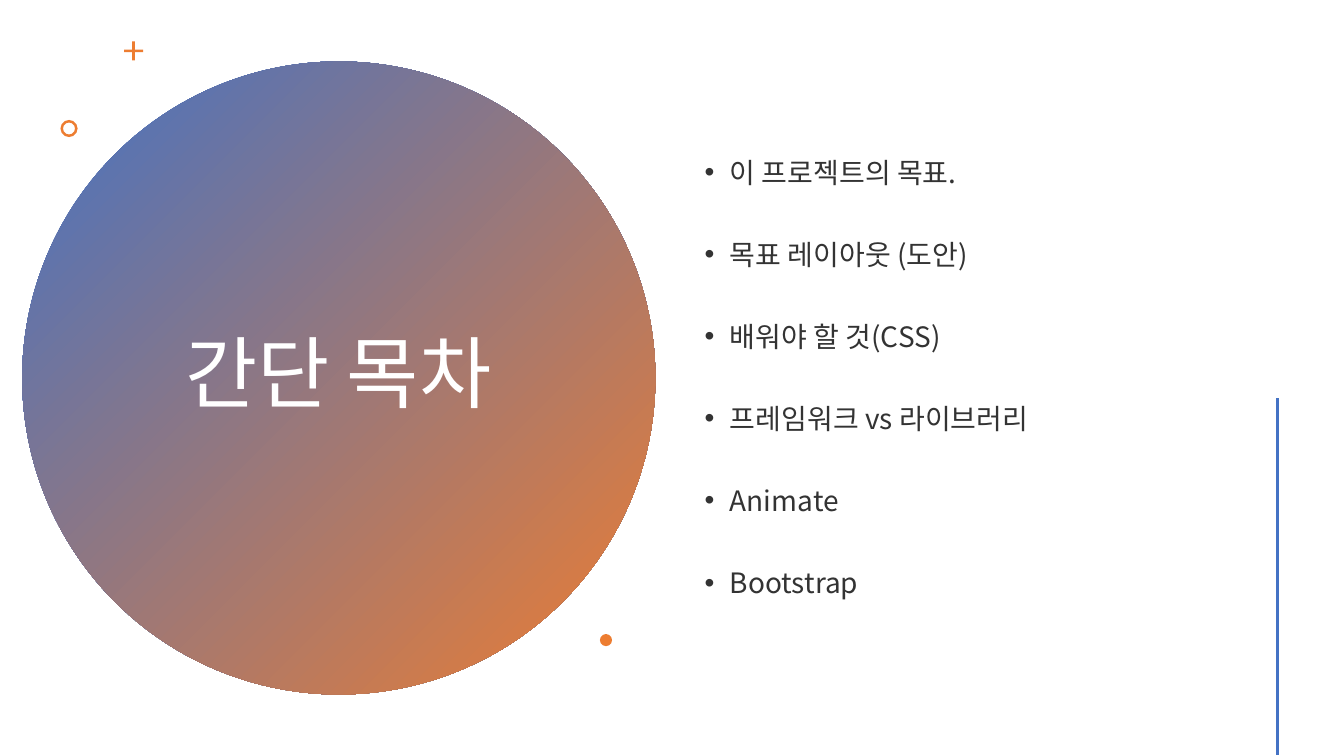
from dataclasses import dataclass

import pptx
import pptx.dml.color
import pptx.enum.shapes
import pptx.enum.text
import pptx.oxml
import pptx.oxml.ns
import pptx.util
from lxml import etree

Inches = pptx.util.Inches
Pt = pptx.util.Pt
Kind = pptx.enum.shapes.MSO_SHAPE
Align = pptx.enum.text.PP_ALIGN
Anchor = pptx.enum.text.MSO_ANCHOR
qn = pptx.oxml.ns.qn


@dataclass(frozen=True)
class Theme:
    font: str = "Noto Sans CJK KR"
    blue: str = "4472C4"
    orange: str = "ED7D31"
    white: str = "FFFFFF"
    ink: str = "333333"
    head: int = 56
    body: int = 20
    gap: int = 37
    rule: int = 2


@dataclass(frozen=True)
class Mark:
    kind: Kind
    left: float
    top: float
    size: float
    adjust: float | None = None


THEME = Theme()
DISC = Mark(Kind.OVAL, 0.22, 0.61, 6.28)
MARKS = [
    Mark(Kind.CROSS, 1.23, 0.41, 0.19, 0.43),
    Mark(Kind.DONUT, 0.6, 1.19, 0.17, 0.15),
    Mark(Kind.OVAL, 5.95, 6.29, 0.12),
]
TOPICS = [
    "이 프로젝트의 목표.",
    "목표 레이아웃 (도안)",
    "배워야 할 것(CSS)",
    "프레임워크 vs 라이브러리",
    "Animate",
    "Bootstrap",
]


def tint(code: str) -> pptx.dml.color.RGBColor:
    return pptx.dml.color.RGBColor.from_string(code)


def add_mark(slide, mark: Mark):
    shape = slide.shapes.add_shape(
        mark.kind, Inches(mark.left), Inches(mark.top), Inches(mark.size), Inches(mark.size)
    )
    shape.shadow.inherit = False
    shape.line.fill.background()
    shape.fill.solid()
    shape.fill.fore_color.rgb = tint(THEME.orange)
    if mark.adjust is not None:
        shape.adjustments[0] = mark.adjust
    return shape


def add_run(para, text: str, size: int, color: str) -> None:
    run = para.add_run()
    run.text = text
    run.font.size = Pt(size)
    run.font.name = THEME.font
    run.font.color.rgb = tint(color)
    east = etree.SubElement(run.font._element, qn("a:ea"))
    east.set("typeface", THEME.font)


def add_disc(slide) -> None:
    """Put the gradient circle behind the title."""
    disc = add_mark(slide, DISC)
    disc.fill.gradient()
    disc.fill.gradient_angle = 315
    for stop, code in zip(disc.fill.gradient_stops, (THEME.blue, THEME.orange)):
        stop.color.rgb = tint(code)
    slide.shapes.title.element.addprevious(disc.element)


def set_title(slide, text: str) -> None:
    title = slide.shapes.title
    title.left, title.top = Inches(1.36), Inches(1.41)
    title.width, title.height = Inches(3.99), Inches(4.67)
    frame = title.text_frame
    frame.word_wrap = True
    frame.vertical_anchor = Anchor.MIDDLE
    para = frame.paragraphs[0]
    para.alignment = Align.CENTER
    para.line_spacing = 0.9
    add_run(para, text, THEME.head, THEME.white)


def add_list(slide, topics: list[str]) -> None:
    box = slide.shapes.add_textbox(Inches(6.89), Inches(0.57), Inches(5.22), Inches(6.38))
    frame = box.text_frame
    frame.word_wrap = True
    frame.vertical_anchor = Anchor.MIDDLE
    for rank, topic in enumerate(topics):
        para = frame.add_paragraph() if rank else frame.paragraphs[0]
        para.line_spacing = 0.9
        para.space_before = Pt(THEME.gap if rank else 0)
        props = para._p.get_or_add_pPr()
        props.set("marL", str(Inches(0.25)))
        props.set("indent", str(Inches(-0.25)))
        etree.SubElement(props, qn("a:buFont")).set("typeface", "Arial")
        etree.SubElement(props, qn("a:buChar")).set("char", "•")
        add_run(para, topic, THEME.body, THEME.ink)


def add_rule(slide) -> None:
    rule = slide.shapes.add_connector(
        pptx.enum.shapes.MSO_CONNECTOR.STRAIGHT,
        Inches(12.67), Inches(3.95), Inches(12.67), Inches(7.49),
    )
    rule.line.color.rgb = tint(THEME.blue)
    rule.line.width = Pt(THEME.rule)
    etree.SubElement(rule.element.spPr, qn("a:effectLst"))


def main() -> None:
    deck = pptx.Presentation()
    deck.slide_width, deck.slide_height = Inches(13.33), Inches(7.5)
    slide = deck.slides.add_slide(deck.slide_layouts[5])
    set_title(slide, "간단 목차")
    add_disc(slide)
    for mark in MARKS:
        add_mark(slide, mark)
    add_list(slide, TOPICS)
    add_rule(slide)
    deck.save("out.pptx")


if __name__ == "__main__":
    main()
